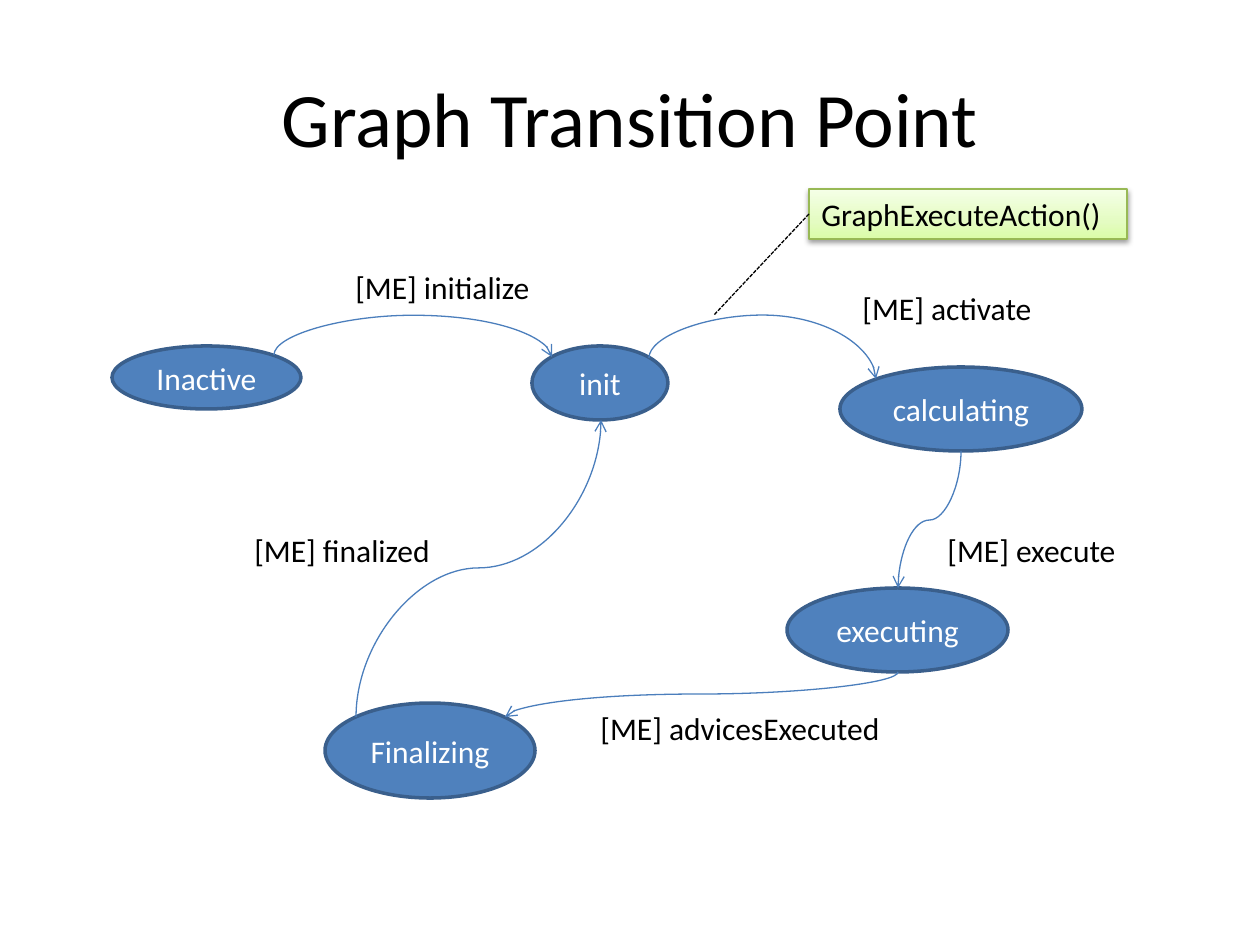
from lxml import etree
from pptx import Presentation
from pptx.dml.color import RGBColor
from pptx.enum.dml import MSO_LINE_DASH_STYLE as Dash
from pptx.enum.shapes import MSO_CONNECTOR as Link, MSO_SHAPE as Shape
from pptx.enum.text import MSO_ANCHOR as Anchor, PP_ALIGN as Align
from pptx.oxml import parse_xml
from pptx.oxml.ns import nsdecls, qn
from pptx.util import Pt

SCALE = 914400 / 126
COLORS = {
    "black": "000000", "white": "FFFFFF", "node": "4F81BD", "node_line": "3A5F8C",
    "arrow": "4B7EBC", "callout_line": "98B955", "callout_dark": "DAFDA7",
    "callout_mid": "E4FCC2", "callout_light": "F5FFE7",
}


def px(*lengths):
    return [round(length * SCALE) for length in lengths]


def write(shape, text, size, color, align):
    shape.text_frame.text = text
    para = shape.text_frame.paragraphs[0]
    para.alignment = align
    font = para.runs[0].font
    font.name, font.size = "Calibri", Pt(size)
    font.color.rgb = RGBColor.from_string(COLORS[color])


deck = Presentation()
deck.slide_width, deck.slide_height = px(1260, 945)
page = deck.slides.add_slide(deck.slide_layouts[5])
shapes = page.shapes

title = shapes.title
title.left, title.top, title.width, title.height = px(63, 38, 1134, 157)
title.text_frame.vertical_anchor = Anchor.MIDDLE
write(title, "Graph Transition Point", 44, "black", Align.CENTER)

states = [
    ("Inactive", 112, 346, 189, 63),
    ("init", 532, 346, 136, 74),
    ("calculating", 840, 367, 242, 84),
    ("Finalizing", 325, 703, 210, 95),
    ("executing", 787, 588, 221, 84),
]
for name, *place in states:
    state = shapes.add_shape(Shape.OVAL, *px(*place))
    state.shadow.inherit = False
    state.fill.solid()
    state.fill.fore_color.rgb = RGBColor.from_string(COLORS["node"])
    state.line.color.rgb = RGBColor.from_string(COLORS["node_line"])
    state.line.width = Pt(2)
    state.text_frame.vertical_anchor = Anchor.MIDDLE
    write(state, name, 18, "white", Align.CENTER)

labels = [
    ("[ME] initialize", 343, 262, 202),
    ("[ME] activate", 850, 283, 197),
    ("[ME] advicesExecuted", 588, 703, 307),
    ("[ME] finalized", 242, 525, 203),
    ("[ME] execute", 935, 525, 195),
]
for text, left, top, width in labels:
    label = shapes.add_textbox(*px(left, top, width, 50))
    label.text_frame.word_wrap = False
    write(label, text, 18, "black", Align.LEFT)

transitions = [
    ((274, 355), (552, 357), 315, 270, ["flipH"]),
    ((649, 358), (876, 379), 315, 270, ["flipH"]),
    ((898, 672), (505, 717), 694, 90, []),
    ((356, 717), (601, 420), 568, 90, ["flipH", "flipV"]),
    ((961, 451), (898, 588), 520, 90, []),
]
for (x1, y1), (x2, y2), bend_y, angle, flips in transitions:
    width, height = abs(y2 - y1), abs(x2 - x1)
    left, top = (x1 + x2 - width) / 2, (y1 + y2 - height) / 2
    curve = shapes.add_connector(Link.CURVE, *px(left, top, left + width, top + height))
    curve.line.color.rgb = RGBColor.from_string(COLORS["arrow"])
    curve.line.width = Pt(0.75)
    properties = curve._element.spPr
    frame = properties.find(qn("a:xfrm"))
    frame.set("rot", str(angle * 60000))
    for flip in flips:
        frame.set(flip, "1")
    bend = round((bend_y - y1) / (y2 - y1) * 100000)
    guides = properties.find(qn("a:prstGeom")).find(qn("a:avLst"))
    etree.SubElement(guides, qn("a:gd"), name="adj1", fmla=f"val {bend}")
    etree.SubElement(properties.find(qn("a:ln")), qn("a:tailEnd"), type="arrow")
    etree.SubElement(properties, qn("a:effectLst"))

callout = shapes.add_shape(Shape.RECTANGLE, *px(809, 189, 318, 50))
callout.line.color.rgb = RGBColor.from_string(COLORS["callout_line"])
callout.line.width = Pt(0.75)
callout.text_frame.word_wrap = False
callout.text_frame.vertical_anchor = Anchor.TOP
write(callout, "GraphExecuteAction()", 18, "black", Align.LEFT)
stops = "".join(
    f'<a:gs pos="{position * 1000}"><a:srgbClr val="{COLORS[color]}"/></a:gs>'
    for position, color in [(0, "callout_dark"), (35, "callout_mid"), (100, "callout_light")]
)
callout._element.spPr.find(qn("a:prstGeom")).addnext(parse_xml(
    f'<a:gradFill {nsdecls("a")} rotWithShape="1"><a:gsLst>{stops}</a:gsLst>'
    '<a:lin ang="16200000" scaled="1"/></a:gradFill>'
))
callout._element.spPr.append(parse_xml(
    f'<a:effectLst {nsdecls("a")}><a:outerShdw blurRad="40000" dist="20000" dir="5400000" '
    f'rotWithShape="0"><a:srgbClr val="{COLORS["black"]}"><a:alpha val="38000"/></a:srgbClr>'
    '</a:outerShdw></a:effectLst>'
))

pointer = shapes.add_connector(Link.STRAIGHT, *px(809, 214, 714, 315))
pointer.begin_connect(callout, 1)
pointer.line.color.rgb = RGBColor.from_string(COLORS["black"])
pointer.line.width = Pt(0.75)
pointer.line.dash_style = Dash.SQUARE_DOT
etree.SubElement(pointer._element.spPr, qn("a:effectLst"))

deck.save("out.pptx")
